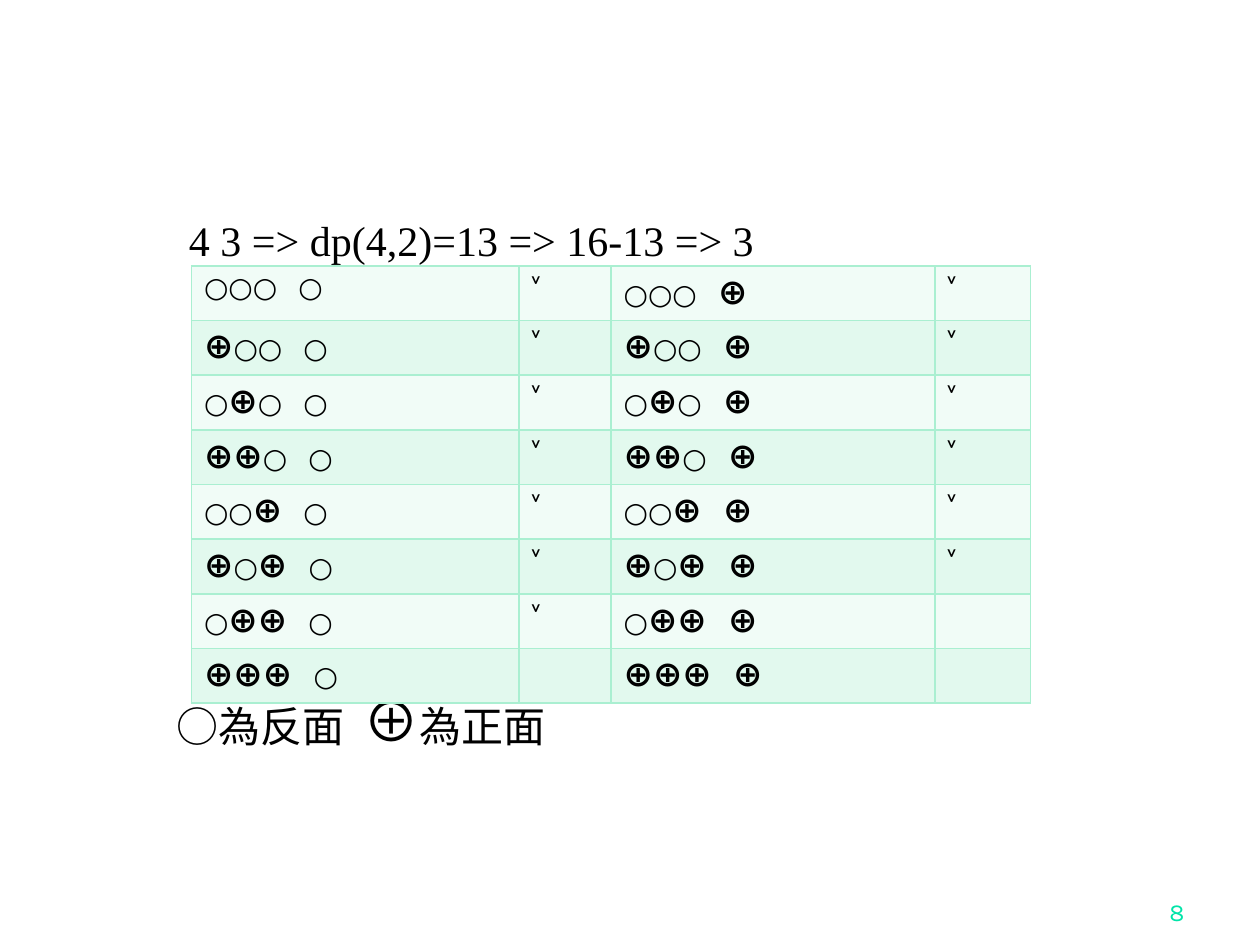
from dataclasses import dataclass
from itertools import groupby

from lxml import etree
from pptx import Presentation
from pptx.dml.color import RGBColor
from pptx.enum.text import MSO_ANCHOR, PP_ALIGN
from pptx.oxml.ns import qn
from pptx.util import Inches, Pt

RIGHT = PP_ALIGN.RIGHT
TOP, BOTTOM = MSO_ANCHOR.TOP, MSO_ANCHOR.BOTTOM
TAILS, HEADS, CHECK, GAP = "○", "⊕", "˅", "   "
WIDTH, HEIGHT = 10, 7.5


@dataclass(frozen=True)
class Theme:
    sans: str = "Karla"
    serif: str = "Times New Roman"
    ink: str = "000000"
    accent: str = "00E4A8"
    border: str = "AAEFD1"
    bands: tuple = ("F1FCF7", "E2F9EE")
    body: int = 24
    legend_heads: int = 32
    heads: int = 20
    tails: int = 16
    check: int = 18
    number: int = 14


THEME = Theme()


def add_run(paragraph, text, size, font=THEME.sans, color=THEME.ink, bold=False):
    run = paragraph.add_run()
    run.text = text
    run.font.name = font
    run.font.size = Pt(size)
    run.font.bold = bold
    run.font.color.rgb = RGBColor.from_string(color)


def add_text_box(slide, left, top, width, height, anchor=TOP):
    """Add a box without insets, placed by shares of the slide; return its paragraph."""
    shape = slide.shapes.add_textbox(
        Inches(left * WIDTH), Inches(top * HEIGHT),
        Inches(width * WIDTH), Inches(height * HEIGHT))
    frame = shape.text_frame
    frame.word_wrap = True
    frame.vertical_anchor = anchor
    frame.margin_left = frame.margin_right = frame.margin_top = frame.margin_bottom = 0
    return frame.paragraphs[0]


def set_borders(cell):
    properties = cell._tc.get_or_add_tcPr()
    for index, side in enumerate(("a:lnL", "a:lnR", "a:lnT", "a:lnB")):
        line = etree.Element(qn(side), w=str(Pt(1)))
        fill = etree.SubElement(line, qn("a:solidFill"))
        etree.SubElement(fill, qn("a:srgbClr"), val=THEME.border)
        properties.insert(index, line)


def add_coins(cell, coins):
    """Write three coins, a gap and the fourth coin, with heads set larger."""
    text = coins[:3] + GAP + coins[3]
    for is_heads, group in groupby(text, lambda symbol: symbol == HEADS):
        size = THEME.heads if is_heads else THEME.tails
        add_run(cell.text_frame.paragraphs[0], "".join(group), size, bold=True)


def add_coin_table(slide):
    """List all 16 throws by binary counting; check those without three heads in a row."""
    rows, columns = 8, (2.6, 0.73, 2.57, 0.76)
    table = slide.shapes.add_table(
        rows, len(columns), Inches(1.52), Inches(2.11),
        Inches(sum(columns)), Inches(3.47)).table
    table.first_row = table.horz_banding = False
    for column, width in zip(table.columns, columns):
        column.width = Inches(width)
    for row in range(rows):
        for column in range(len(columns)):
            cell = table.cell(row, column)
            cell.fill.solid()
            cell.fill.fore_color.rgb = RGBColor.from_string(THEME.bands[row % 2])
            set_borders(cell)
        for half, last_coin in enumerate((TAILS, HEADS)):
            coins = "".join(HEADS if row >> bit & 1 else TAILS for bit in range(3)) + last_coin
            add_coins(table.cell(row, 2 * half), coins)
            if HEADS * 3 not in coins:
                paragraph = table.cell(row, 2 * half + 1).text_frame.paragraphs[0]
                add_run(paragraph, CHECK, THEME.check, bold=True)


def add_formula(slide):
    paragraph = add_text_box(slide, 0.15, 0.227, 0.7, 0.05)
    add_run(paragraph, "4 3 => dp(4,2)=13 => 16-13 => 3", THEME.body, THEME.serif)


def add_legend(slide):
    paragraph = add_text_box(slide, 0.14, 0.735, 0.7, 0.08)
    paragraph.line_spacing = 0.9
    add_run(paragraph, TAILS + "為反面  ", THEME.body)
    add_run(paragraph, HEADS, THEME.legend_heads)
    add_run(paragraph, "為正面", THEME.body)


def add_slide_number(slide):
    paragraph = add_text_box(slide, 0.74, 0.92, 0.2, 0.06, BOTTOM)
    paragraph.alignment = RIGHT
    add_run(paragraph, "8", THEME.number, color=THEME.accent)


def main():
    presentation = Presentation()
    presentation.slide_width = Inches(WIDTH)
    presentation.slide_height = Inches(HEIGHT)
    slide = presentation.slides.add_slide(presentation.slide_layouts[6])
    add_formula(slide)
    add_legend(slide)
    add_slide_number(slide)
    add_coin_table(slide)
    presentation.save("out.pptx")


if __name__ == "__main__":
    main()
